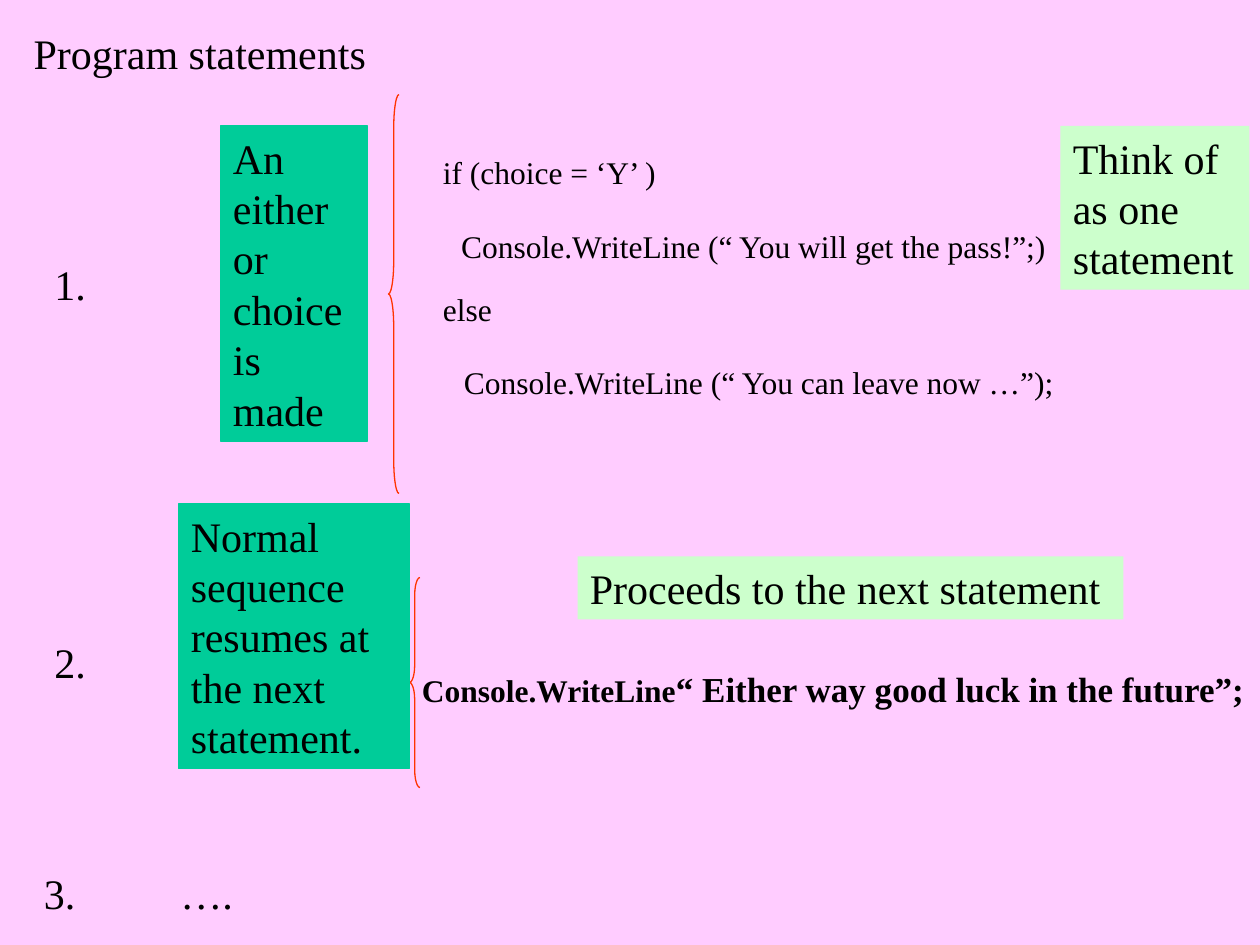
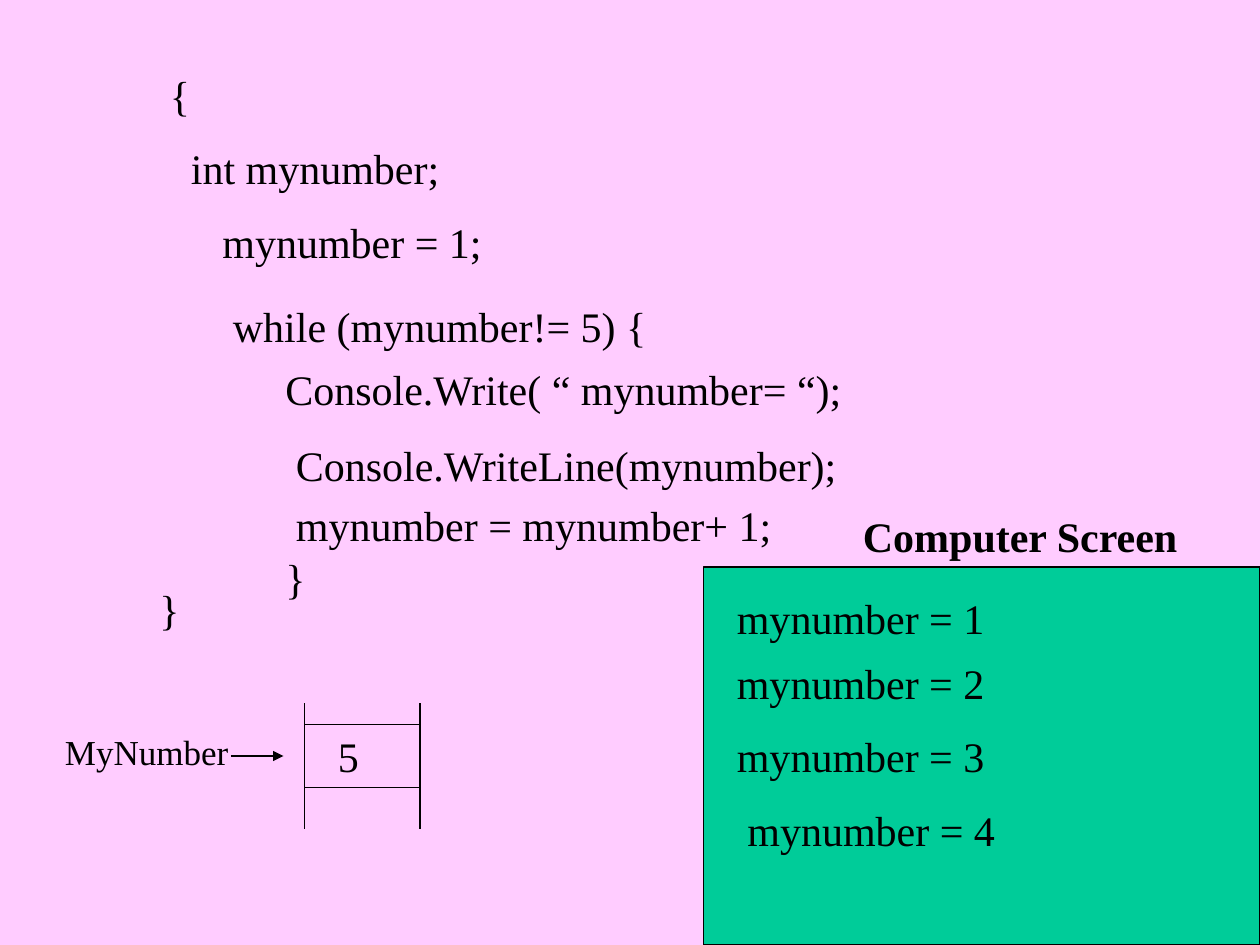
from dataclasses import dataclass
from lxml import etree
from pptx import Presentation
from pptx.dml.color import RGBColor
from pptx.enum.shapes import MSO_CONNECTOR, MSO_SHAPE
from pptx.enum.text import MSO_ANCHOR, MSO_AUTO_SIZE, PP_ALIGN
from pptx.oxml.ns import qn
from pptx.util import Inches, Pt

RECT, BRACE = MSO_SHAPE.RECTANGLE, MSO_SHAPE.LEFT_BRACE
STRAIGHT = MSO_CONNECTOR.STRAIGHT
TOP, LEFT, FIT = MSO_ANCHOR.TOP, PP_ALIGN.LEFT, MSO_AUTO_SIZE.SHAPE_TO_FIT_TEXT
TITLE_ONLY, BLANK = 5, 6


@dataclass(frozen=True)
class Theme:
    font: str = "Times New Roman"
    back: str = "FFCCFF"
    ink: str = "000000"
    green: str = "00CC99"
    pale: str = "CCFFCC"
    red: str = "FF3300"
    large: int = 24
    mid: int = 20
    small: int = 18
    gap: int = 15
    rule: float = 0.75


T = Theme()

# The grid has 12 units to the inch: the slide is 120 wide and 90 high.
UNIT = Inches(1) / 12
WIDE, HIGH = 120, 90

# Text, column, row, width
TITLE = ("Program statements", 2, 2, 41)
LABELS = [
    ("1.", 4, 24, 9),
    ("2.", 4, 60, 7),
    ("3.", 3, 82, 9),
    ("….", 16, 82, 22),
]
BRANCH = [
    ("if (choice = ‘Y’ )", 41, 14, 36),
    (" Console.WriteLine (“ You will get the pass!”;)", 42, 21, 61),
    ("else", 41, 27, 13),
    ("Console.WriteLine (“ You can leave now …”);", 43, 34, 65),
]
NEXT = ("Console.WriteLine", 39, 63, 83)
LUCK = "“ Either way good luck in the future”;"

# Text, column, row, width, lines, fill
NOTES = [
    ("An either or choice is made", 21, 12, 14, 6, T.green),
    ("Normal sequence resumes at the next statement.", 17, 48, 22, 5, T.green),
    ("Think of as one statement", 101, 12, 18, 3, T.pale),
    ("Proceeds to the next statement", 55, 53, 52, 1, T.pale),
]
# Column, row, width, height
BRACES = [(37, 9, 1, 38), (39, 55, 1, 20)]

LOOP = [
    ("{", 15, 6, 54),
    ("int mynumber;", 17, 13, 52),
    ("mynumber = 1;", 20, 20, 33),
    ("while (mynumber!= 5) {", 21, 28, 45),
    ("Console.Write( “ mynumber= “);\n Console.WriteLine(mynumber);", 26, 34, 58),
    ("mynumber = mynumber+ 1;", 27, 47, 52),
    ("}", 26, 52, 12),
    ("}", 14, 55, 33),
]
SCREEN = (67, 54)
HEAD = ("Computer Screen", 81, 48, 35)
OUTPUT = [
    ("mynumber = 1", 69, 55.8, 30),
    ("mynumber = 2", 69, 62, 37),
    ("mynumber = 3", 69, 69, 37),
    ("mynumber = 4", 70, 76, 31),
]
CELL = ("5", 31, 69, 9)
NAME = ("MyNumber", 5, 69, 20)
SIDES, ENDS, RUNGS = (29, 40), (67, 79), (69, 75)
ARROW = (22, 72, 27, 72)


def grid(*units):
    return [round(u * UNIT) for u in units]


def rgb(code):
    return RGBColor.from_string(code)


def ink(run, size, bold):
    font = run.font
    font.name, font.size, font.bold = T.font, Pt(size), bold
    font.color.rgb = rgb(T.ink)


def write(shape, text, size=T.large, bold=False):
    frame = shape.text_frame
    frame.text = text
    frame.word_wrap, frame.auto_size = True, FIT
    frame.vertical_anchor = TOP
    for i, para in enumerate(frame.paragraphs):
        para.alignment = LEFT
        para.space_before = Pt(T.gap if i else 0)
        for run in para.runs:
            ink(run, size, bold)


def area(col, row, wide, lines=1, size=T.large, breaks=0):
    """Box on the grid, as high as its lines of text."""
    high = Inches(lines * size / 60 + 0.1) + Pt(T.gap) * breaks
    return *grid(col, row, wide), high


def label(slide, text, col, row, wide, size=T.large, bold=False):
    breaks = text.count("\n")
    box = slide.shapes.add_textbox(*area(col, row, wide, breaks + 1, size, breaks))
    write(box, text, size, bold)
    return box


def draw(slide, kind, box, fill=None, line=None):
    shape = slide.shapes.add_shape(kind, *box)
    shape.shadow.inherit = False
    if fill:
        shape.fill.solid()
        shape.fill.fore_color.rgb = rgb(fill)
    else:
        shape.fill.background()
    if line:
        shape.line.color.rgb = rgb(line)
        shape.line.width = Pt(T.rule)
    else:
        shape.line.fill.background()
    return shape


def rule(slide, *ends, arrow=False):
    link = slide.shapes.add_connector(STRAIGHT, *grid(*ends))
    link.line.color.rgb = rgb(T.ink)
    link.line.width = Pt(T.rule)
    props = link.line._get_or_add_ln()
    if arrow:
        etree.SubElement(props, qn("a:tailEnd"), type="triangle")
    etree.SubElement(props.getparent(), qn("a:effectLst"))


def choice(prs):
    slide = prs.slides.add_slide(prs.slide_layouts[TITLE_ONLY])
    text, *place = TITLE
    title = slide.shapes.title
    title.left, title.top, title.width, title.height = area(*place)
    write(title, text)
    for box in BRACES:
        brace = draw(slide, BRACE, grid(*box), line=T.red)
        brace.adjustments[0] = box[3] / box[2] / 12
    for text, col, row, wide, lines, fill in NOTES:
        line = fill if fill == T.green else None
        write(draw(slide, RECT, area(col, row, wide, lines), fill, line), text)
    for item in LABELS:
        label(slide, *item)
    for item in BRANCH:
        label(slide, *item, size=T.small)
    para = label(slide, *NEXT, size=T.small, bold=True).text_frame.paragraphs[0]
    run = para.add_run()
    run.text = LUCK
    ink(run, T.mid, True)


def loop(prs):
    slide = prs.slides.add_slide(prs.slide_layouts[BLANK])
    col, row = SCREEN
    draw(slide, RECT, grid(col, row, WIDE - col, HIGH - row), T.green, T.ink)
    for item in LOOP + OUTPUT + [CELL]:
        label(slide, *item)
    label(slide, *HEAD, bold=True)
    label(slide, *NAME, size=T.mid)
    for x in SIDES:
        rule(slide, x, ENDS[0], x, ENDS[1])
    for y in RUNGS:
        rule(slide, SIDES[0], y, SIDES[1], y)
    rule(slide, *ARROW, arrow=True)


def main():
    prs = Presentation()
    prs.slide_width, prs.slide_height = grid(WIDE, HIGH)
    fill = prs.slide_master.background.fill
    fill.solid()
    fill.fore_color.rgb = rgb(T.back)
    choice(prs)
    loop(prs)
    prs.save("out.pptx")


if __name__ == "__main__":
    main()
